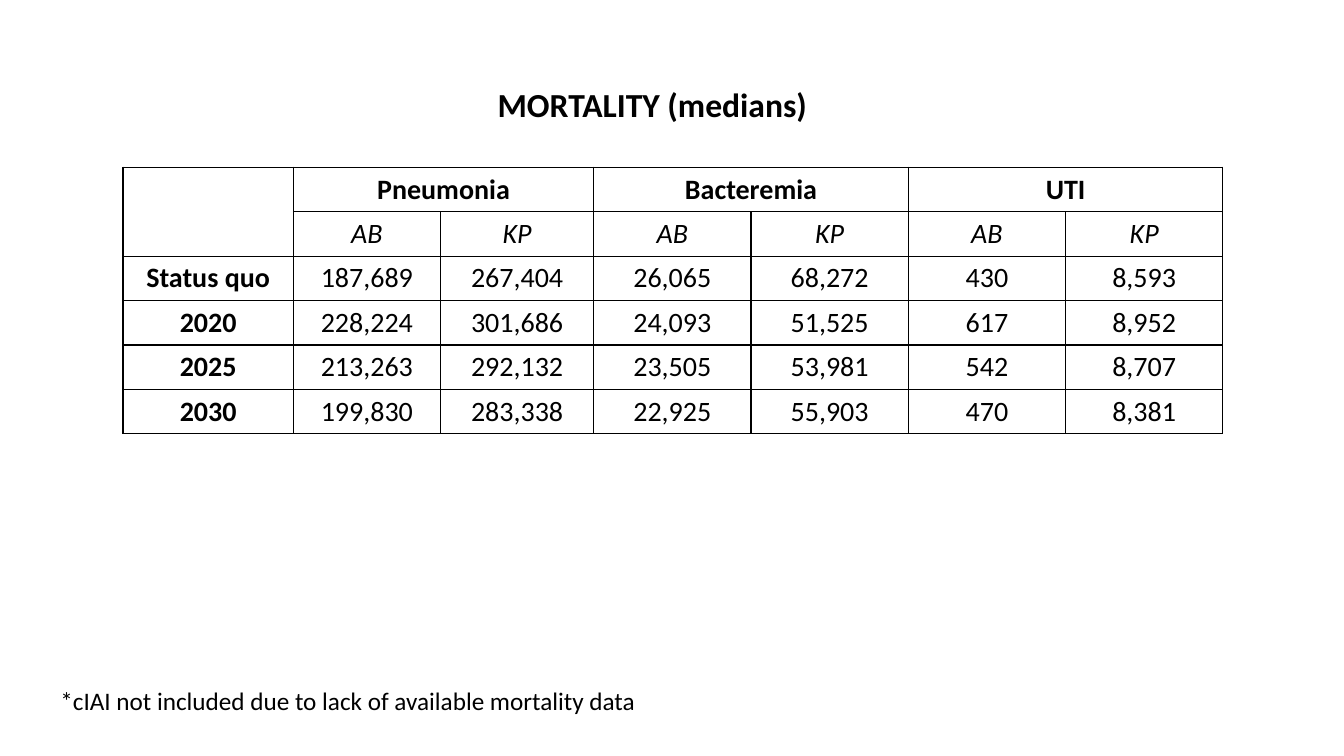
from dataclasses import dataclass

from lxml.etree import SubElement
from pptx import Presentation
from pptx.dml.color import RGBColor
from pptx.enum.text import MSO_ANCHOR, MSO_AUTO_SIZE, PP_ALIGN
from pptx.oxml.ns import qn
from pptx.table import _Cell
from pptx.text.text import TextFrame
from pptx.util import Inches, Pt

COLORS = {"ink": "000000"}
FONT = "Calibri"
COLUMN_WIDTHS = [1.69, 1.46, 1.52] + [1.56] * 4
ROW_HEIGHT = 0.44
BORDER_WIDTH = Pt(1)

INFECTIONS = ["Pneumonia", "Bacteremia", "UTI"]
PATHOGENS = ["AB", "KP"]


@dataclass
class Scenario:
    label: str
    deaths: list[int]


SCENARIOS = [
    Scenario("Status quo", [187689, 267404, 26065, 68272, 430, 8593]),
    Scenario("2020", [228224, 301686, 24093, 51525, 617, 8952]),
    Scenario("2025", [213263, 292132, 23505, 53981, 542, 8707]),
    Scenario("2030", [199830, 283338, 22925, 55903, 470, 8381]),
]


def write(frame: TextFrame, text: str, size: int, align: PP_ALIGN,
          bold: bool = False, italic: bool = False) -> None:
    paragraph = frame.paragraphs[0]
    paragraph.alignment = align
    run = paragraph.add_run()
    run.text = text
    formats = {"name": FONT, "size": Pt(size), "bold": bold, "italic": italic}
    for attribute, value in formats.items():
        setattr(run.font, attribute, value)
    run.font.color.rgb = RGBColor.from_string(COLORS["ink"])


def write_cell(cell: _Cell, text: str, bold: bool = False,
               italic: bool = False) -> None:
    write(cell.text_frame, text, 20, PP_ALIGN.CENTER, bold, italic)


def outline(cell: _Cell) -> None:
    """Clear the cell's fill and rule all four of its sides."""
    cell.fill.background()
    properties = cell._tc.get_or_add_tcPr()
    for position, side in enumerate(["lnL", "lnR", "lnT", "lnB"]):
        line = SubElement(properties, qn(f"a:{side}"), w=str(BORDER_WIDTH))
        fill = SubElement(line, qn("a:solidFill"))
        SubElement(fill, qn("a:srgbClr"), val=COLORS["ink"])
        properties.insert(position, line)


def main() -> None:
    deck = Presentation()
    deck.slide_width, deck.slide_height = Inches(13.33), Inches(7.5)
    slide = deck.slides.add_slide(deck.slide_layouts[5])

    # Title
    heading = slide.shapes.title
    placement = {"left": 3.43, "top": 0.78, "width": 6.08, "height": 0.5}
    for attribute, value in placement.items():
        setattr(heading, attribute, Inches(value))
    heading.text_frame.auto_size = MSO_AUTO_SIZE.NONE
    heading.text_frame.vertical_anchor = MSO_ANCHOR.MIDDLE
    write(heading.text_frame, "MORTALITY (medians)", 24, PP_ALIGN.CENTER, bold=True)

    # Mortality table
    row_count = 2 + len(SCENARIOS)
    mortality = slide.shapes.add_table(
        row_count, len(COLUMN_WIDTHS), Inches(1.22), Inches(1.66),
        Inches(sum(COLUMN_WIDTHS)), Inches(ROW_HEIGHT * row_count)).table
    mortality.first_row = mortality.horz_banding = False
    for column, width in zip(mortality.columns, COLUMN_WIDTHS):
        column.width = Inches(width)
    for row in mortality.rows:
        row.height = Inches(ROW_HEIGHT)
    for cell in mortality.iter_cells():
        outline(cell)

    # Two header rows
    mortality.cell(0, 0).merge(mortality.cell(1, 0))
    for index, infection in enumerate(INFECTIONS):
        first = 1 + index * len(PATHOGENS)
        last = first + len(PATHOGENS) - 1
        mortality.cell(0, first).merge(mortality.cell(0, last))
        write_cell(mortality.cell(0, first), infection, bold=True)
        for offset, pathogen in enumerate(PATHOGENS):
            write_cell(mortality.cell(1, first + offset), pathogen, italic=True)

    # Scenario rows
    for row_index, scenario in enumerate(SCENARIOS, start=2):
        write_cell(mortality.cell(row_index, 0), scenario.label, bold=True)
        for column_index, deaths in enumerate(scenario.deaths, start=1):
            write_cell(mortality.cell(row_index, column_index), f"{deaths:,}")

    # Footnote
    footnote = slide.shapes.add_textbox(
        Inches(0.5), Inches(6.75), Inches(8.42), Inches(0.4)).text_frame
    footnote.word_wrap = True
    write(footnote, "*cIAI not included due to lack of available mortality data",
          18, PP_ALIGN.LEFT)

    deck.save("out.pptx")


if __name__ == "__main__":
    main()
